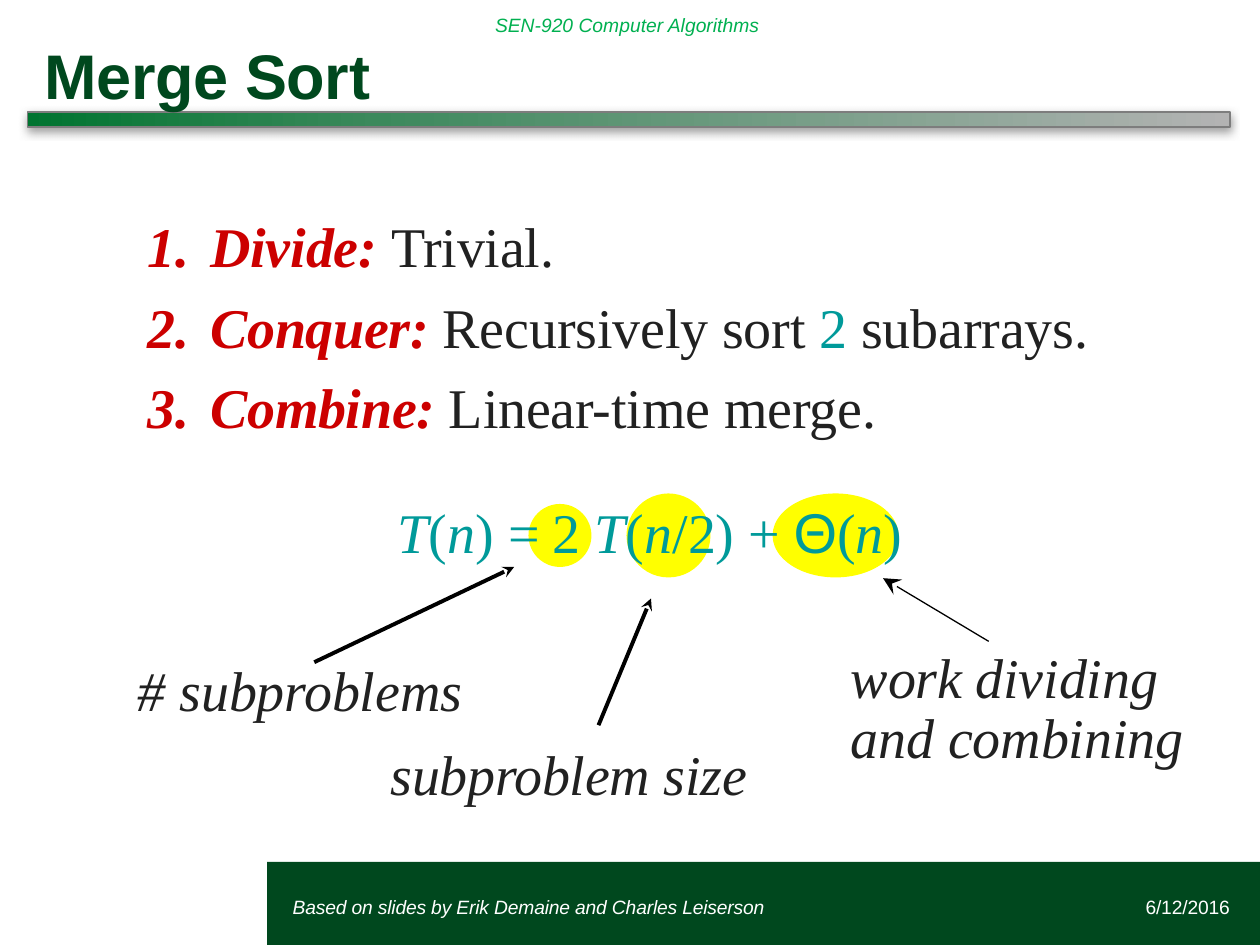
from copy import deepcopy

from lxml import etree
from pptx import Presentation
from pptx.dml.color import RGBColor
from pptx.enum.shapes import MSO_CONNECTOR, MSO_SHAPE
from pptx.enum.text import MSO_ANCHOR, PP_ALIGN
from pptx.oxml.ns import qn
from pptx.util import Pt

RECT, OVAL = MSO_SHAPE.RECTANGLE, MSO_SHAPE.OVAL
STRAIGHT = MSO_CONNECTOR.STRAIGHT
TOP, MIDDLE = MSO_ANCHOR.TOP, MSO_ANCHOR.MIDDLE
LEFT, RIGHT = PP_ALIGN.LEFT, PP_ALIGN.RIGHT

THEME = {
    "sans": "Arial", "serif": "Times New Roman",
    "title": 36, "body": 32, "small": 11,
    "dark_green": "00481E", "course_green": "00B050", "white": "FFFFFF",
    "ink": "212121", "red": "CC0000", "teal": "009A9A",
    "yellow": "FFFF00", "black": "000000", "bar_edge": "7D7D7D",
    "bar_stops": [(0, "007430"), (0.29, "3C895C"), (1, "B3B3B3")],
    "bar_shadow": "808080",
}


def rgb(name):
    return RGBColor.from_string(THEME.get(name, name))


def add_text(place, paragraphs, size, font, anchor=TOP, inset=(0, 0), align=LEFT,
             indent=1, line=None):
    """Each paragraph is (space before, left indent or None, runs);
    each run is (text, colour, style letters, tracking[, font])."""
    frame = slide.shapes.add_textbox(*map(Pt, place)).text_frame
    frame.word_wrap = True
    frame.vertical_anchor = anchor
    frame.margin_left = frame.margin_right = Pt(inset[0])
    frame.margin_top = frame.margin_bottom = Pt(inset[1])
    for i, (before, left, runs) in enumerate(paragraphs):
        par = frame.paragraphs[0] if i == 0 else frame.add_paragraph()
        par.alignment = align
        par.space_before = Pt(before)
        if line:
            par.line_spacing = Pt(line)
        par._p.get_or_add_pPr().set("marL", str(Pt(indent if left is None else left)))
        for text, colour, style, tracking, *other in runs:
            run = par.add_run()
            run.text = text
            run.font.name = THEME[other[0] if other else font]
            run.font.size = Pt(THEME[size])
            run.font.color.rgb = rgb(colour)
            run.font.bold, run.font.italic = "b" in style, "i" in style
            run._r.get_or_add_rPr().set("spc", str(tracking))
    return frame


prs = Presentation()
prs.slide_width, prs.slide_height = Pt(720), Pt(540)
slide = prs.slides.add_slide(prs.slide_layouts[6])

# Footer band, title bar and yellow highlights behind the formula
blocks = [
    (RECT, (152.6, 492.5, 567.4, 47.5), "dark_green"),
    (RECT, (15.8, 64, 687, 8.8), None),
    (OVAL, (302, 288, 36, 36), "yellow"),
    (OVAL, (358, 282, 48, 48), "yellow"),
    (OVAL, (441.5, 282, 72, 48), "yellow"),
]
for kind, place, colour in blocks:
    block = slide.shapes.add_shape(kind, *map(Pt, place))
    block.shadow.inherit = False
    if colour:
        block.fill.solid()
        block.fill.fore_color.rgb = rgb(colour)
        block.line.fill.background()
        continue
    block.line.color.rgb = rgb("bar_edge")
    block.line.width = Pt(1)
    block.fill.gradient()
    block.fill.gradient_angle = 0
    properties = block._element.spPr
    stop_list = properties.find(".//" + qn("a:gsLst"))
    stop_list.insert(1, deepcopy(stop_list[0]))
    for stop, (position, stop_colour) in zip(block.fill.gradient_stops, THEME["bar_stops"]):
        stop.position = position
        stop.color.rgb = rgb(stop_colour)
    shadow = etree.SubElement(properties.find(qn("a:effectLst")), qn("a:outerShdw"),
                              blurRad=str(Pt(5)), dist=str(Pt(2)), dir="5400000",
                              rotWithShape="0")
    tint = etree.SubElement(shadow, qn("a:srgbClr"), val=THEME["bar_shadow"])
    etree.SubElement(tint, qn("a:alpha"), val="75000")

# Course name, title and footer
add_text((275.8, 0, 332, 28.8),
         [(0, None, [("SEN-920 Computer Algorithms", "course_green", "i", 0)])],
         "small", "sans", MIDDLE, inset=(7.2, 3.6), indent=0)
add_text((15.8, 11.5, 687, 48.2), [(0, None, [("Merge Sort", "dark_green", "b", -20)])],
         "title", "sans", indent=9.5, line=52.8)
add_text((535, 504, 167.8, 28.8), [(0, None, [("6/12/2016", "white", "", -10)])],
         "small", "sans", MIDDLE, align=RIGHT)
add_text((166.3, 504, 332, 28.8),
         [(0, None, [("Based on slides by Erik Demaine and Charles Leiserson",
                      "white", "i", -10)])],
         "small", "sans", MIDDLE)

# Numbered steps
steps = [
    [("Divide: ", "red", "bi", -10), ("Trivial.", "ink", "", -10)],
    [("Conquer: ", "red", "bi", -20), ("Recursively sort ", "ink", "", -10),
     ("2 ", "teal", "", -20), ("subarrays.", "ink", "", -10)],
    [("Combine: ", "red", "bi", -20), ("Linear-time merge.", "ink", "", -10)],
]
step_frame = add_text((83.5, 121, 546, 132.5),
                      [(7.6 if i else 0, 36.7, runs) for i, runs in enumerate(steps)],
                      "body", "serif")
for step in step_frame.paragraphs:
    step_format = step._p.get_or_add_pPr()
    step_format.set("indent", str(-Pt(36)))
    number_colour = etree.SubElement(step_format, qn("a:buClr"))
    etree.SubElement(number_colour, qn("a:srgbClr"), val=THEME["red"])
    etree.SubElement(step_format, qn("a:buAutoNum"), type="arabicPeriod")

# Recurrence
recurrence = [
    ("T", "i", -20), ("(", "", -20), ("n", "i", -20), (") ", "", -10), ("= 2 ", "", -20),
    ("T", "i", -20), ("(", "", -20), ("n", "i", -20), ("/2) ", "", -10), ("+ ", "", -20),
    ("Θ", "", -20, "sans"), ("(", "", -20), ("n", "i", -20), (")", "", -10),
]
add_text((226.3, 284.4, 308, 38.9),
         [(0, None, [(text, "teal", *rest) for text, *rest in recurrence])],
         "body", "serif")

# Labels for the parts of the recurrence
add_text((77.8, 374.4, 354, 88),
         [(0, None, [("# ", "ink", "i", -20), ("subproblems", "ink", "i", -10)]),
          (9.6, 145.4, [("subproblem ", "ink", "i", -20), ("size", "ink", "i", -10)])],
         "body", "serif")
add_text((485.3, 370.8, 193.7, 70.6),
         [(0, None, [("work ", "ink", "i", -20),
                     ("dividing and combining", "ink", "i", -10)])],
         "body", "serif", line=34.6)

# Arrows from the labels to the highlights
arrows = [
    ((179.6, 378.4), (293.8, 324), 2.25, "med"),
    ((342, 414.4), (372, 342), 2.25, "med"),
    ((565, 366.5), (504.6, 330.4), 0.75, "lg"),
]
for start, end, width, head in arrows:
    arrow = slide.shapes.add_connector(STRAIGHT, *map(Pt, start + end))
    arrow.line.color.rgb = rgb("black")
    arrow.line.width = Pt(width)
    etree.SubElement(arrow.line._get_or_add_ln(), qn("a:tailEnd"),
                     type="stealth", w=head, len=head)
    etree.SubElement(arrow._element.spPr, qn("a:effectLst"))

prs.save("out.pptx")
